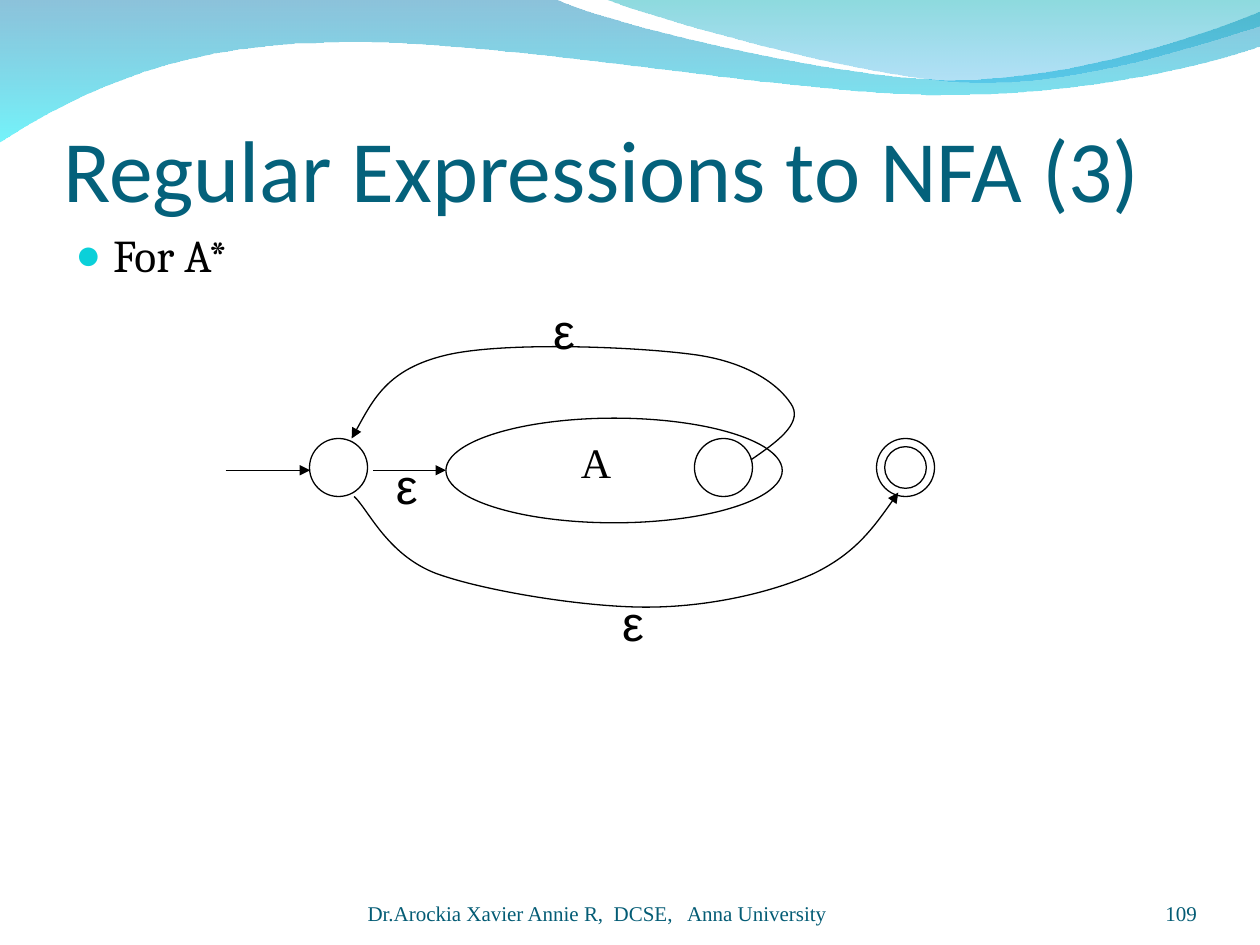
from lxml import etree
from pptx import Presentation
from pptx import util as u
from pptx.dml.color import RGBColor
from pptx.enum import shapes, text
from pptx.oxml.ns import qn

TITLE = "Regular Expressions to NFA (3)"
BULLET = "For A*"
FOOTER = "Dr.Arockia Xavier Annie R,  DCSE,   Anna University"
PAGE = "109"
BLACK, TITLE_COLOR, FOOTER_COLOR, BULLET_COLOR = "000000", "04617B", "045C75", "0BD0D9"
SERIF = "Times New Roman"

WAVES = [
    ([(0, -0.03)], [(11.18, -0.03)], [(12.09, 0.43), (16.87, 1.6), (19.25, 1.6)],
     [(21.67, 1.6), (24.33, 0.66), (25.4, 0.23)], [(25.43, 0.91)],
     [(24.97, 1.12), (22.1, 1.93), (18.95, 1.91)],
     [(15.8, 1.91), (9.7, 0.71), (6.53, 0.86)],
     [(3.28, 0.89), (1.17, 2.11), (-0.03, 2.87)]),
    ([(12.17, -0.03)], [(12.93, 0.28), (17.32, 1.57), (19.53, 1.65)],
     [(21.74, 1.75), (24.41, 0.81), (25.4, 0.53)], [(25.4, 0)]),
]
WAVE_GRADIENTS = [
    [("0079AF", 45), ("00EBF8", 55)],
    [("00ADB6", 45), ("009BE5", 30)],
]
SKIP_ARC = ([(7.14, 10.01)], [(7.42, 10.26), (7.8, 11.18), (8.79, 11.56)],
            [(9.75, 11.91), (11.76, 12.24), (13.03, 12.24)],
            [(14.3, 12.24), (15.57, 11.94), (16.41, 11.56)],
            [(17.25, 11.15), (17.68, 10.54), (18.11, 9.93)])
REPEAT_ARC = ([(15.14, 9.27)], [(15.65, 8.92), (16.15, 8.56), (15.98, 8.2)],
              [(15.8, 7.87), (15.24, 7.34), (14.07, 7.16)],
              [(12.9, 6.99), (10.16, 6.88), (8.99, 7.16)],
              [(7.82, 7.44), (7.47, 8.15), (7.09, 8.84)])

STATE_SIZE, STATE_TOP = 1.17, 8.84
START_LEFT, INNER_LEFT, FINAL_LEFT = 6.24, 14, 17.67
FINAL_INNER_SIZE = 0.84
MACHINE = (8.99, 8.43, 6.78, 2.11)
ARROW_Y = 9.48
ARROWS = [(7.52, 8.99), (4.55, 6.25)]
EPSILONS = [(7.73, 9.06), (12.29, 11.81), (10.9, 5.92)]


def color(value):
    return RGBColor.from_string(value)


def lengths(values):
    return [u.Cm(value) for value in values]


def write(shape, content, font="Arial", size=12, fill=BLACK, inset=(0, 0, 0, 0),
          anchor=text.MSO_ANCHOR.TOP, align=text.PP_ALIGN.LEFT, wrap=True, bullet=None):
    frame = shape.text_frame
    frame.auto_size = text.MSO_AUTO_SIZE.NONE if wrap else text.MSO_AUTO_SIZE.SHAPE_TO_FIT_TEXT
    frame.word_wrap = wrap
    frame.vertical_anchor = anchor
    frame.margin_left, frame.margin_top, frame.margin_right, frame.margin_bottom = lengths(inset)
    paragraph = frame.paragraphs[0]
    paragraph.alignment = align
    if bullet:
        properties = paragraph._p.get_or_add_pPr()
        properties.set("marL", str(u.Cm(0.76)))
        properties.set("indent", str(-u.Cm(0.76)))
        bullet_color = etree.SubElement(properties, qn("a:buClr"))
        etree.SubElement(bullet_color, qn("a:srgbClr"), val=BULLET_COLOR)
        etree.SubElement(properties, qn("a:buSzPct"), val="95000")
        etree.SubElement(properties, qn("a:buFont"), typeface="Arial")
        etree.SubElement(properties, qn("a:buChar"), char=bullet)
    run = paragraph.add_run()
    run.text = content
    run.font.name = font
    run.font.size = u.Pt(size)
    run.font.color.rgb = color(fill)


def add_text(slide, box, content, **style):
    write(slide.shapes.add_textbox(*lengths(box)), content, **style)


def outline(shape, arrow=False):
    shape.line.color.rgb = color(BLACK)
    shape.line.width = u.Pt(0.75)
    if arrow:
        etree.SubElement(shape.line._get_or_add_ln(), qn("a:tailEnd"), type="triangle")


def add_ellipse(target, box):
    ellipse = target.shapes.add_shape(shapes.MSO_SHAPE.OVAL, *lengths(box))
    ellipse.shadow.inherit = False
    ellipse.fill.background()
    outline(ellipse)


def add_state(target, left, size=STATE_SIZE):
    gap = (STATE_SIZE - size) / 2
    add_ellipse(target, (left + gap, STATE_TOP + gap, size, size))


def add_path(slide, segments, close):
    start, *rest = [lengths(point) for segment in segments for point in segment]
    builder = slide.shapes.build_freeform(*start)
    builder.add_line_segments(rest, close=close)
    shape = builder.convert_to_shape()
    shape.shadow.inherit = False
    lines = iter(list(shape._element.spPr.iter(qn("a:lnTo"))))
    for segment in segments[1:]:
        steps = [next(lines) for point in segment]
        if len(steps) == 3:
            curve = etree.Element(qn("a:cubicBezTo"))
            steps[0].addprevious(curve)
            for step in steps:
                curve.append(step[0])
                step.getparent().remove(step)
    return shape


def add_wave(slide, segments, stops):
    wave = add_path(slide, segments, close=True)
    wave.line.fill.background()
    wave.fill.gradient()
    wave.fill.gradient_angle = 270
    for stop, (value, opacity) in zip(wave.fill.gradient_stops, stops):
        stop.color.rgb = color(value)
    for element, (value, opacity) in zip(wave._element.spPr.iter(qn("a:srgbClr")), stops):
        etree.SubElement(element, qn("a:alpha"), val=str(opacity * 1000))


def add_arc(slide, segments):
    arc = add_path(slide, segments, close=False)
    arc.fill.background()
    outline(arc, arrow=True)


def add_arrow(slide, start, end):
    arrow = slide.shapes.add_connector(shapes.MSO_CONNECTOR.STRAIGHT,
                                       *lengths((start, ARROW_Y, end, ARROW_Y)))
    outline(arrow, arrow=True)
    etree.SubElement(arrow._element.spPr, qn("a:effectLst"))


def main():
    presentation = Presentation()
    presentation.slide_width, presentation.slide_height = lengths((25.4, 19.05))
    slide = presentation.slides.add_slide(presentation.slide_layouts[5])
    bottom = text.MSO_ANCHOR.BOTTOM
    label_inset = (0.25, 0.13, 0.25, 0.13)

    for segments, stops in zip(WAVES, WAVE_GRADIENTS):
        add_wave(slide, segments, stops)

    title = slide.shapes.title
    title.left, title.top, title.width, title.height = lengths((1.27, 1.27, 22.86, 3.17))
    write(title, TITLE, font="Calibri", size=50, fill=TITLE_COLOR,
          inset=(0, 0.13, 0, 0), anchor=bottom)
    add_text(slide, (1.27, 4.45, 23.06, 1.7), BULLET, font="Cambria", size=26,
             inset=label_inset, bullet="●")

    add_ellipse(slide, MACHINE)
    add_text(slide, (11.46, 8.66, 1.12, 1.27), "A", font=SERIF, size=24,
             inset=label_inset, wrap=False)
    for left in (INNER_LEFT, START_LEFT):
        add_state(slide, left)
    final_state = slide.shapes.add_group_shape()
    for size in (FINAL_INNER_SIZE, STATE_SIZE):
        add_state(final_state, FINAL_LEFT, size)

    for start, end in ARROWS:
        add_arrow(slide, start, end)
    for arc in (SKIP_ARC, REPEAT_ARC):
        add_arc(slide, arc)
    for left, top in EPSILONS:
        add_text(slide, (left, top, 0.94, 1.45), "ε", size=28, inset=label_inset, wrap=False)

    footer_style = dict(font=SERIF, size=12, fill=FOOTER_COLOR, anchor=bottom)
    add_text(slide, (7.41, 17.65, 9.32, 1.02), FOOTER, **footer_style)
    add_text(slide, (22.02, 17.65, 2.11, 1.02), PAGE, align=text.PP_ALIGN.RIGHT, **footer_style)
    presentation.save("out.pptx")


if __name__ == "__main__":
    main()
